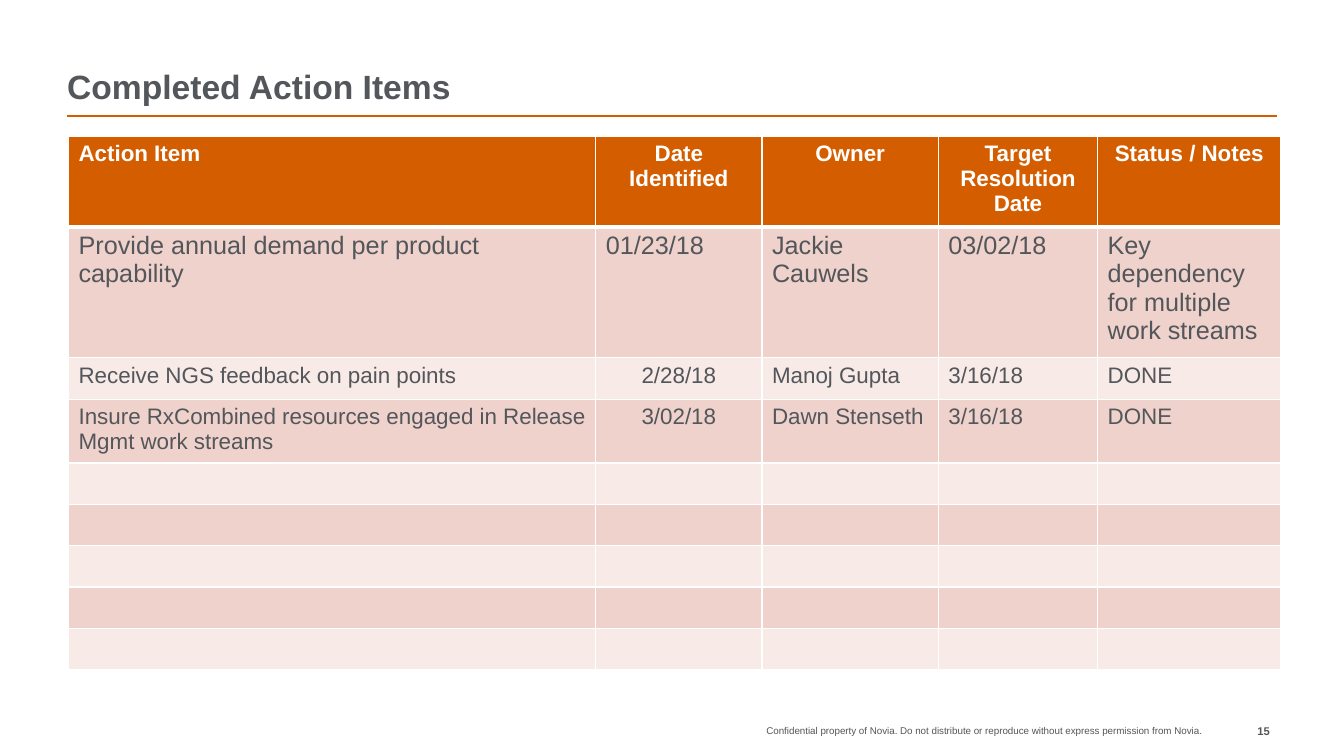
from lxml import etree
from pptx import Presentation
from pptx.dml.color import RGBColor
from pptx.enum.shapes import MSO_CONNECTOR
from pptx.enum.text import MSO_ANCHOR, PP_ALIGN
from pptx.oxml.ns import qn
from pptx.util import Inches, Pt

STRAIGHT = MSO_CONNECTOR.STRAIGHT
TOP, BOTTOM = MSO_ANCHOR.TOP, MSO_ANCHOR.BOTTOM
LEFT, CENTER, RIGHT = PP_ALIGN.LEFT, PP_ALIGN.CENTER, PP_ALIGN.RIGHT

COLORS = {"accent": "D45D00", "text": "53565A", "white": "FFFFFF",
          "band_dark": "EFD2CC", "band_light": "F7EAE7"}
HEADER = ["Action Item", "Date Identified", "Owner",
          "Target Resolution Date", "Status / Notes"]
ITEMS = [
    ["Provide annual demand per product capability", "01/23/18",
     "Jackie Cauwels", "03/02/18", "Key dependency for multiple work streams"],
    ["Receive NGS feedback on pain points", "2/28/18",
     "Manoj Gupta", "3/16/18", "DONE"],
    ["Insure RxCombined resources engaged in Release Mgmt work streams",
     "3/02/18", "Dawn Stenseth", "3/16/18", "DONE"],
]
EMPTY_ROWS = 5
COL_SPANS = [15.69, 4.95, 5.25, 4.74, 5.46]
ROW_SPAN = 1.64


class Deck:
    """Draw styled elements on a slide grid of 40 columns by 30 rows."""

    def __init__(self):
        self.prs = Presentation()
        self.prs.slide_width, self.prs.slide_height = Inches(13.33), Inches(7.5)
        self.s = self.prs.slides.add_slide(self.prs.slide_layouts[6])

    def x(self, cols):
        return round(self.prs.slide_width * cols / 40)

    def y(self, rows):
        return round(self.prs.slide_height * rows / 30)

    def box(self, col, row, cols, rows):
        return self.x(col), self.y(row), self.x(cols), self.y(rows)

    def add_run(self, tf, text, align=LEFT, color="text", **fmt):
        p = tf.paragraphs[0]
        p.alignment = align
        r = p.add_run()
        r.text = text
        r.font.color.rgb = RGBColor.from_string(COLORS[color])
        for name, value in {"name": "Arial", "bold": False, **fmt}.items():
            setattr(r.font, name, value)

    def text(self, box, text, anchor=TOP, **fmt):
        tf = self.s.shapes.add_textbox(*self.box(*box)).text_frame
        frame = {"word_wrap": True, "vertical_anchor": anchor, "margin_left": 0,
                 "margin_right": 0, "margin_top": 0, "margin_bottom": 0}
        for name, value in frame.items():
            setattr(tf, name, value)
        self.add_run(tf, text, **fmt)

    def rule(self, row, start, end):
        line = self.s.shapes.add_connector(
            STRAIGHT, self.x(start), self.y(row), self.x(end), self.y(row))
        line.line.width = Pt(1)
        line.line.color.rgb = RGBColor.from_string(COLORS["accent"])
        etree.SubElement(line._element.spPr, qn("a:effectLst"))

    def borders(self, cell, widths):
        tc_pr = cell._tc.get_or_add_tcPr()
        for side, width in widths.items():
            ln = etree.SubElement(tc_pr, qn(f"a:ln{side}"), w=str(Pt(width)))
            fill = etree.SubElement(ln, qn("a:solidFill"))
            etree.SubElement(fill, qn("a:srgbClr"), val=COLORS["white"])

    def cell(self, cell, i, j, text):
        self.borders(cell, {"L": 1, "R": 1, "T": 3 if i == 1 else 1,
                            "B": 3 if i == 0 else 1})
        band = "accent" if i == 0 else "band_dark" if i % 2 else "band_light"
        cell.fill.solid()
        cell.fill.fore_color.rgb = RGBColor.from_string(COLORS[band])
        if not text:
            return
        centered = j > 0 if i == 0 else j == 1 and i > 1
        self.add_run(cell.text_frame, text, CENTER if centered else LEFT,
                     "white" if i == 0 else "text",
                     size=Pt(18 if i == 1 else 16), bold=i == 0)

    def table(self, col, row, data):
        box = self.box(col, row, sum(COL_SPANS), ROW_SPAN * len(data))
        table = self.s.shapes.add_table(len(data), len(COL_SPANS), *box).table
        for column, span in zip(table.columns, COL_SPANS):
            column.width = self.x(span)
        for i, values in enumerate(data):
            table.rows[i].height = self.y(ROW_SPAN)
            for j, value in enumerate(values):
                self.cell(table.cell(i, j), i, j, value)


def main():
    deck = Deck()
    deck.rule(4.6, 2, 38)
    deck.text((14.5, 28.76, 21.27, 0.92),
              "Confidential property of Novia. Do not distribute or reproduce "
              "without express permission from Novia.",
              align=RIGHT, size=Pt(7))
    deck.text((35.79, 28.76, 2, 0.92), "15", align=RIGHT, size=Pt(8), bold=True)
    deck.text((2, 0.84, 36, 3.36), "Completed Action Items", BOTTOM,
              size=Pt(24), bold=True)
    deck.table(2.04, 5.4, [HEADER, *ITEMS, *[[""] * len(HEADER)] * EMPTY_ROWS])
    deck.prs.save("out.pptx")


if __name__ == "__main__":
    main()
